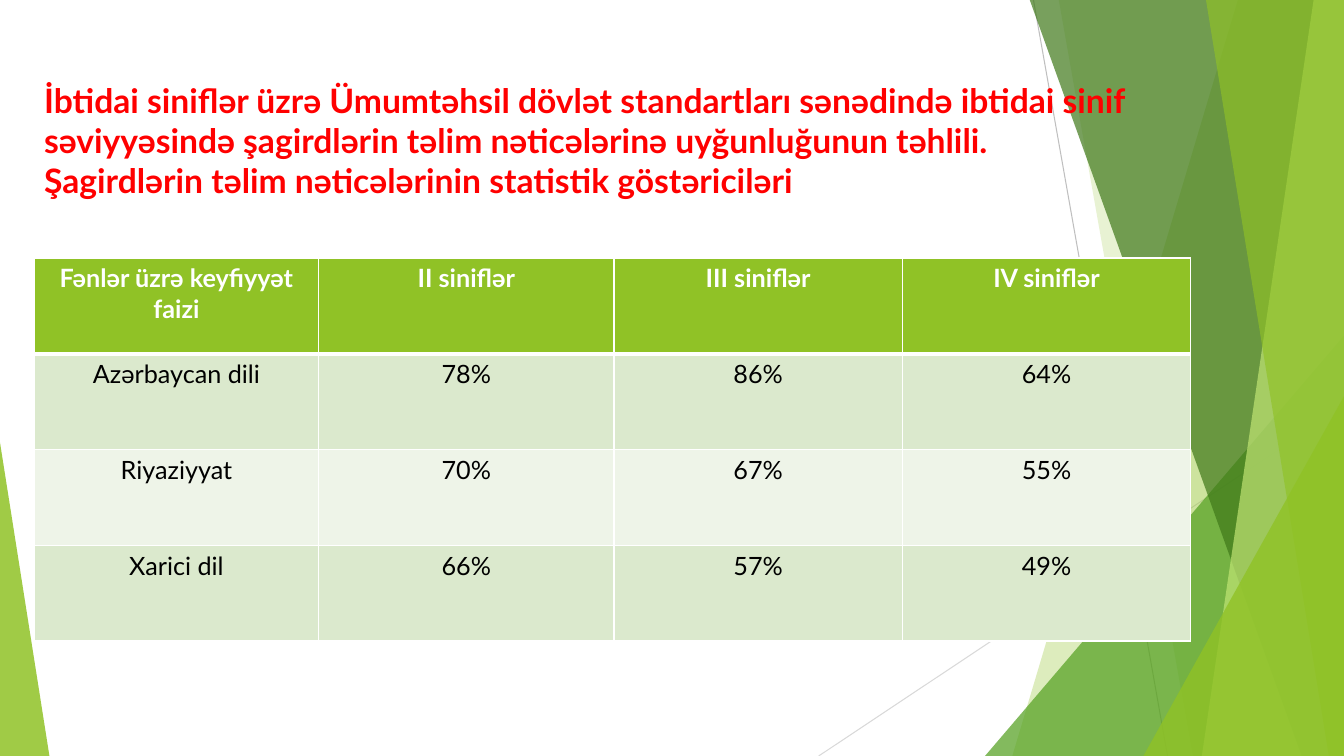
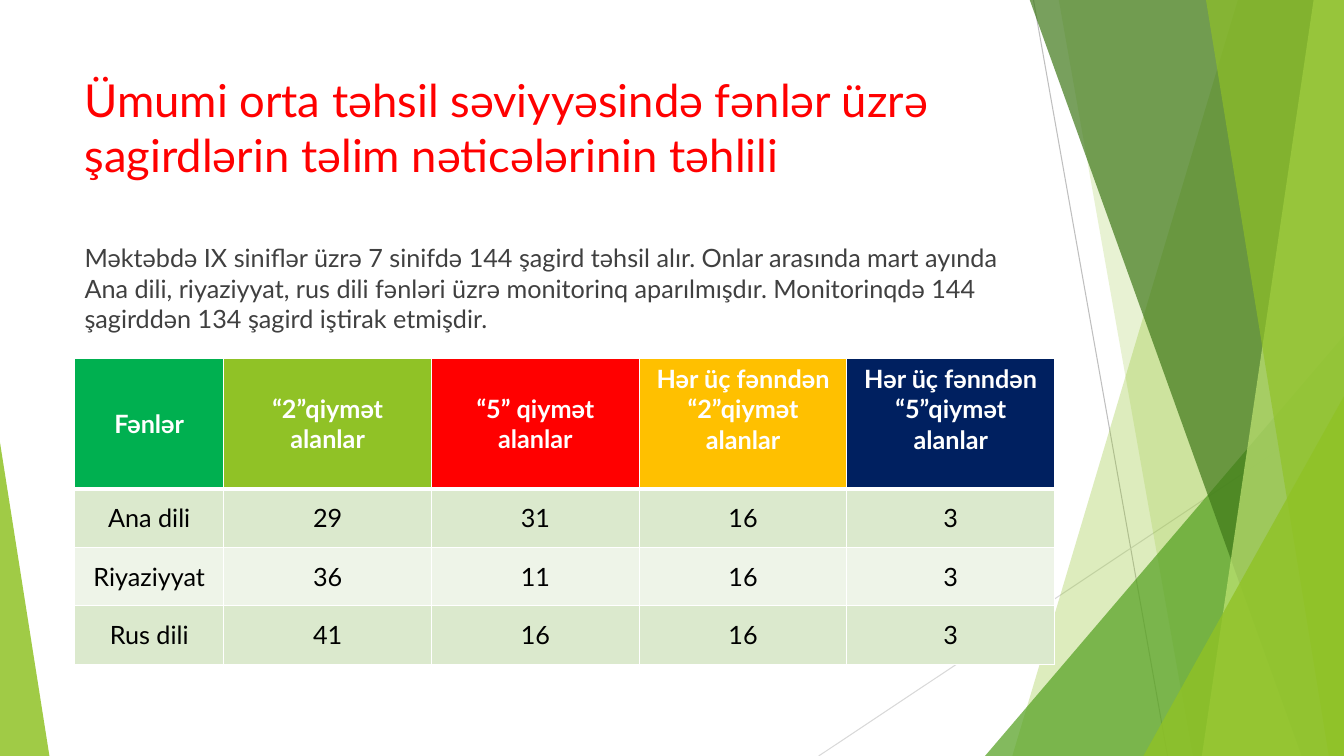
from pptx import Presentation
from pptx.dml.color import RGBColor
from pptx.enum.shapes import MSO_CONNECTOR, MSO_SHAPE
from pptx.enum.text import MSO_ANCHOR, PP_ALIGN
from pptx.oxml import parse_xml
from pptx.oxml.ns import nsdecls, qn
from pptx.oxml.xmlchemy import OxmlElement
from pptx.util import Inches, Pt

# Shared look
FONT = "Lato"
GREEN, RED, WHITE, BLACK, GREY = "90C226", "FF0000", "FFFFFF", "000000", "404040"
BANDS = ["DBE9CD", "EEF4E8"]
WIDTH, HEIGHT = 13.33, 7.5

# Background: line ends, then sloped panels and corner triangles from back to front
LINES = [((10.25, 0), (11.58, HEIGHT), "BFBFBF"),
         ((WIDTH, 4.03), (8.12, HEIGHT), "D9D9D9")]
# Panels reach the right edge: (top left x, bottom left x, colour, opacity)
# Triangles fill a bottom corner: (left, top, width, tip, colour, opacity)
BACKGROUND = [
    (12.28, 10.04, GREEN, 30),
    (10.5, 11.83, GREEN, 20),
    (9.77, 3.33, 3.56, 1, "54A021", 72),
    (10.21, 12.91, "3F7819", 70),
    (13.03, 11.92, "C0E474", 70),
    (11.96, 13.18, GREEN, 65),
    (11.34, 3.93, 1.99, 1, GREEN, 80),
    (0, 4.39, 0.49, 0, GREEN, 85),
]

# Content of the slides
PAGES = [
    {
        "title": "İbtidai siniflər üzrə Ümumtəhsil dövlət standartları sənədində ibtidai sinif "
                 "səviyyəsində şagirdlərin təlim nəticələrinə uyğunluğunun təhlili.\n"
                 "Şagirdlərin təlim nəticələrinin statistik göstəriciləri",
        "title_box": (0.34, 0.74, 11.23, 1.51), "title_size": 24, "title_bold": True,
        "table_at": (0.34, 2.56),
        "columns": [2.82, 2.93, 2.86, 2.86], "heights": [0.95] * 4,
        "header_fills": [GREEN] * 4,
        "header_anchors": [MSO_ANCHOR.TOP] * 4, "anchor": MSO_ANCHOR.TOP,
        "rows": [
            ["Fənlər üzrə keyfiyyət faizi", "II siniflər", "III siniflər", "IV siniflər"],
            ["Azərbaycan dili", "78%", "86%", "64%"],
            ["Riyaziyyat", "70%", "67%", "55%"],
            ["Xarici dil", "66%", "57%", "49%"],
        ],
    },
    {
        "title": "Ümumi orta təhsil səviyyəsində fənlər üzrə şagirdlərin təlim nəticələrinin təhlili",
        "title_box": (0.74, 0.67, 9.4, 1.44), "title_size": 32.4, "title_bold": False,
        "body": "Məktəbdə IX siniflər üzrə 7 sinifdə 144 şagird təhsil alır. Onlar arasında mart "
                "ayında Ana dili, riyaziyyat, rus dili fənləri üzrə monitorinq aparılmışdır. "
                "Monitorinqdə 144 şagirddən 134 şagird iştirak etmişdir.",
        "body_box": (0.74, 2.36, 9.4, 1.1),
        "table_at": (0.74, 3.56),
        "columns": [1.48] + [2.06] * 4, "heights": [1.29] + [0.58] * 3,
        "header_fills": ["00B050", GREEN, RED, "FFC000", "002060"],
        "header_anchors": [MSO_ANCHOR.MIDDLE] * 3 + [MSO_ANCHOR.TOP] * 2,
        "anchor": MSO_ANCHOR.MIDDLE,
        "rows": [
            ["Fənlər", "“2”qiymət alanlar", "“5” qiymət alanlar",
             "Hər üç fənndən “2”qiymət alanlar", "Hər üç fənndən “5”qiymət alanlar"],
            ["Ana dili", "29", "31", "16", "3"],
            ["Riyaziyyat", "36", "11", "16", "3"],
            ["Rus dili", "41", "16", "16", "3"],
        ],
    },
]


def paint(fill, colour):
    fill.solid()
    fill.fore_color.rgb = RGBColor.from_string(colour)


def write(frame, text, size=18, colour=BLACK, bold=False, align=PP_ALIGN.LEFT):
    frame.word_wrap = True
    para = frame.paragraphs[0]
    para.text = text
    para.alignment = align
    for span in para.runs:
        span.font.name = FONT
        span.font.size = Pt(size)
        span.font.bold = bold
        paint(span.font.fill, colour)


deck = Presentation()
deck.slide_width, deck.slide_height = Inches(WIDTH), Inches(HEIGHT)

for content in PAGES:
    page = deck.slides.add_slide(deck.slide_layouts[6])
    paint(page.background.fill, WHITE)

    # Thin background lines
    for start, end, colour in LINES:
        line = page.shapes.add_connector(
            MSO_CONNECTOR.STRAIGHT, *[Inches(value) for value in start + end])
        line.line.width = Pt(0.75)
        paint(line.line.fill, colour)
        line.element.spPr.append(OxmlElement("a:effectLst"))

    # Translucent green panels and triangles
    for *outline, colour, opacity in BACKGROUND:
        if len(outline) == 2:
            top_x, bottom_x = outline
            builder = page.shapes.build_freeform(Inches(top_x), Inches(-0.01))
            corners = [(WIDTH, -0.01), (WIDTH, HEIGHT), (bottom_x, HEIGHT)]
            builder.add_line_segments([(Inches(x), Inches(y)) for x, y in corners])
            shape = builder.convert_to_shape()
        else:
            left, top, width, tip = outline
            shape = page.shapes.add_shape(
                MSO_SHAPE.ISOSCELES_TRIANGLE, Inches(left), Inches(top),
                Inches(width), Inches(HEIGHT - top))
            shape.adjustments[0] = tip
        paint(shape.fill, colour)
        alpha = OxmlElement("a:alpha")
        alpha.set("val", str(opacity * 1000))
        shape.element.spPr.find(qn("a:solidFill"))[0].append(alpha)
        shape.line.fill.background()
        shape.shadow.inherit = False

    # Title and body text
    title = page.shapes.add_textbox(*[Inches(value) for value in content["title_box"]])
    write(title.text_frame, content["title"], size=content["title_size"],
          colour=RED, bold=content["title_bold"])
    if "body" in content:
        body = page.shapes.add_textbox(*[Inches(value) for value in content["body_box"]])
        write(body.text_frame, content["body"], colour=GREY)

    # Table
    rows, columns, heights = content["rows"], content["columns"], content["heights"]
    left, top = content["table_at"]
    table = page.shapes.add_table(
        len(rows), len(columns), Inches(left), Inches(top),
        Inches(sum(columns)), Inches(sum(heights))).table
    for column, width in zip(table.columns, columns):
        column.width = Inches(width)
    for row_index, (row, height) in enumerate(zip(rows, heights)):
        table.rows[row_index].height = Inches(height)
        header = row_index == 0
        for column_index, text in enumerate(row):
            cell = table.cell(row_index, column_index)
            write(cell.text_frame, text, colour=WHITE if header else BLACK,
                  bold=header, align=PP_ALIGN.CENTER)
            cell.vertical_anchor = (
                content["header_anchors"][column_index] if header else content["anchor"])
            paint(cell.fill, content["header_fills"][column_index] if header
                  else BANDS[(row_index - 1) % 2])

            # White borders, thick under the header
            widths = {"L": 1, "R": 1, "T": 3 if row_index == 1 else 1, "B": 3 if header else 1}
            properties = cell._tc.get_or_add_tcPr()
            for position, (side, points) in enumerate(widths.items()):
                properties.insert(position, parse_xml(
                    f'<a:ln{side} {nsdecls("a")} w="{Pt(points)}"><a:solidFill>'
                    f'<a:srgbClr val="{WHITE}"/></a:solidFill></a:ln{side}>'))

deck.save("out.pptx")
